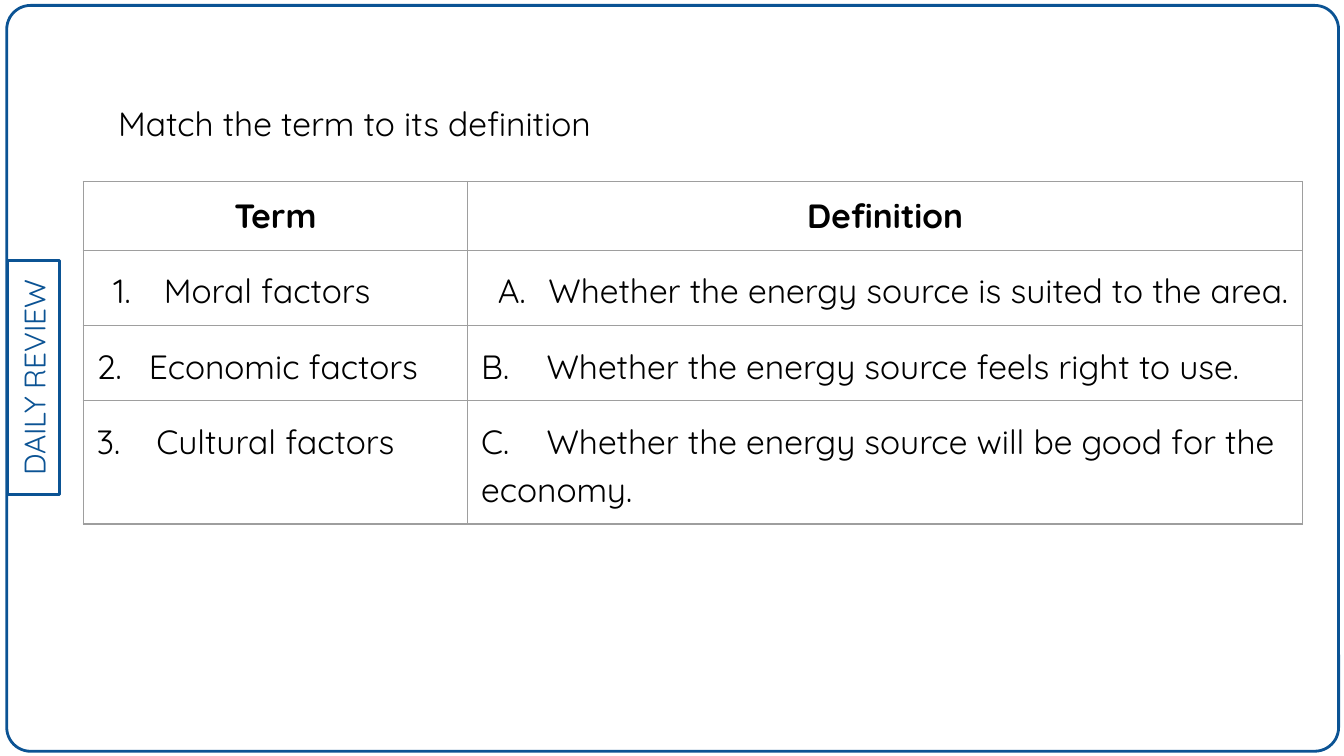
import pptx
import pptx.dml.color
import pptx.enum.shapes
import pptx.enum.text
import pptx.oxml
import pptx.oxml.ns
import pptx.util

Pt = pptx.util.Pt
RGBColor = pptx.dml.color.RGBColor
MSO_SHAPE = pptx.enum.shapes.MSO_SHAPE
PP_ALIGN = pptx.enum.text.PP_ALIGN
MSO_ANCHOR = pptx.enum.text.MSO_ANCHOR

BLUE = RGBColor(0x0B, 0x53, 0x94)
BLACK = RGBColor(0, 0, 0)
GREY = RGBColor(0x9E, 0x9E, 0x9E)
FONT = "Quicksand"
INSET = Pt(7.2)

COLUMN_WIDTHS = [206, 447.2]
ROW_HEIGHTS = [37, 40.3, 40.3, 66]
HEADERS = ["Term", "Definition"]
NUMBERED = [("Moral factors", "arabicPeriod"),
            ("Whether the energy source is suited to the area.", "alphaUcPeriod")]
# Label, text and tab stop in points
TABBED = [
    [("2.", "Economic factors", 28), ("B.", "Whether the energy source feels right to use.", 35)],
    [("3.", "Cultural factors", 32),
     ("C.", "Whether the energy source will be good for the economy.", 35)],
]


def add_xml(parent, xml, index=None):
    ns = pptx.oxml.ns.nsdecls("a")
    element = pptx.oxml.parse_xml(xml.replace("NS", ns, 1))
    parent.insert(len(parent) if index is None else index, element)


def add_run(p, text, size=18, color=BLACK, bold=False):
    r = p.add_run()
    r.text = text
    r.font.name, r.font.size, r.font.bold = FONT, Pt(size), bold
    r.font.color.rgb = color


def set_insets(tf):
    tf.word_wrap = True
    tf.margin_left = tf.margin_right = tf.margin_top = tf.margin_bottom = INSET


def add_outline(s, kind, left, top, width, height):
    sp = s.shapes.add_shape(kind, Pt(left), Pt(top), Pt(width), Pt(height))
    sp.shadow.inherit = False
    sp.fill.background()
    sp.line.color.rgb = BLUE
    sp.line.width = Pt(1.5)
    return sp


def add_side_tag(s, text):
    sp = add_outline(s, MSO_SHAPE.RECTANGLE, -44.6, 188.6, 125.3, 27.4)
    sp.rotation = 270
    tf = sp.text_frame
    set_insets(tf)
    tf.vertical_anchor = MSO_ANCHOR.MIDDLE
    p = tf.paragraphs[0]
    p.alignment = PP_ALIGN.CENTER
    add_run(p, text, 16, BLUE)


def add_instruction(s, text):
    sp = s.shapes.add_textbox(Pt(56.2), Pt(44.6), Pt(403), Pt(322.6))
    set_insets(sp.text_frame)
    p = sp.text_frame.paragraphs[0]
    p.line_spacing = 1.15
    add_run(p, text)


def style_cell(cell):
    cell.margin_left = cell.margin_right = cell.margin_top = cell.margin_bottom = INSET
    cell.fill.background()
    tc_pr = cell._tc.get_or_add_tcPr()
    for index, side in enumerate(["lnL", "lnR", "lnT", "lnB"]):
        add_xml(tc_pr, f'<a:{side} NS w="{Pt(0.75)}"><a:solidFill><a:srgbClr val="{GREY}"/>'
                       f'</a:solidFill></a:{side}>', index)


def fill_header(p, text):
    p.alignment = PP_ALIGN.CENTER
    add_run(p, text, bold=True)


def fill_numbered(p, text, scheme):
    p.line_spacing = 1.15
    p_pr = p._p.get_or_add_pPr()
    p_pr.set("marL", str(Pt(36)))
    p_pr.set("indent", str(Pt(-27)))
    add_xml(p_pr, f'<a:buClr NS><a:srgbClr val="{BLACK}"/></a:buClr>')
    add_xml(p_pr, f'<a:buFont NS typeface="{FONT}"/>')
    add_xml(p_pr, f'<a:buAutoNum NS type="{scheme}"/>')
    add_run(p, text)


def fill_tabbed(p, label, text, stop):
    p.line_spacing = 1.15
    add_xml(p._p.get_or_add_pPr(),
            f'<a:tabLst NS><a:tab pos="{Pt(stop)}" algn="l"/></a:tabLst>')
    add_run(p, f"{label}\t{text}")


def add_matching_table(s):
    frame = s.shapes.add_table(len(ROW_HEIGHTS), len(COLUMN_WIDTHS), Pt(44.6), Pt(97.2),
                               Pt(sum(COLUMN_WIDTHS)), Pt(sum(ROW_HEIGHTS)))
    table = frame.table
    table.first_row = table.horz_banding = False
    for column, width in zip(table.columns, COLUMN_WIDTHS):
        column.width = Pt(width)
    for row, height in zip(table.rows, ROW_HEIGHTS):
        row.height = Pt(height)
    for cell in table.iter_cells():
        style_cell(cell)

    for c in range(len(COLUMN_WIDTHS)):
        cells = [table.cell(r, c).text_frame.paragraphs[0] for r in range(len(ROW_HEIGHTS))]
        fill_header(cells[0], HEADERS[c])
        fill_numbered(cells[1], *NUMBERED[c])
        for p, row in zip(cells[2:], TABBED):
            fill_tabbed(p, *row[c])


def main():
    prs = pptx.Presentation()
    prs.slide_width, prs.slide_height = Pt(720), Pt(405)
    s = prs.slides.add_slide(prs.slide_layouts[6])

    # Frame and side tag
    frame = add_outline(s, MSO_SHAPE.ROUNDED_RECTANGLE, 3.6, 2.9, 713.5, 399.6)
    frame.adjustments[0] = 0.032
    add_side_tag(s, "DAILY REVIEW")

    # Task
    add_instruction(s, "Match the term to its definition")
    add_matching_table(s)

    prs.save("out.pptx")


if __name__ == "__main__":
    main()
